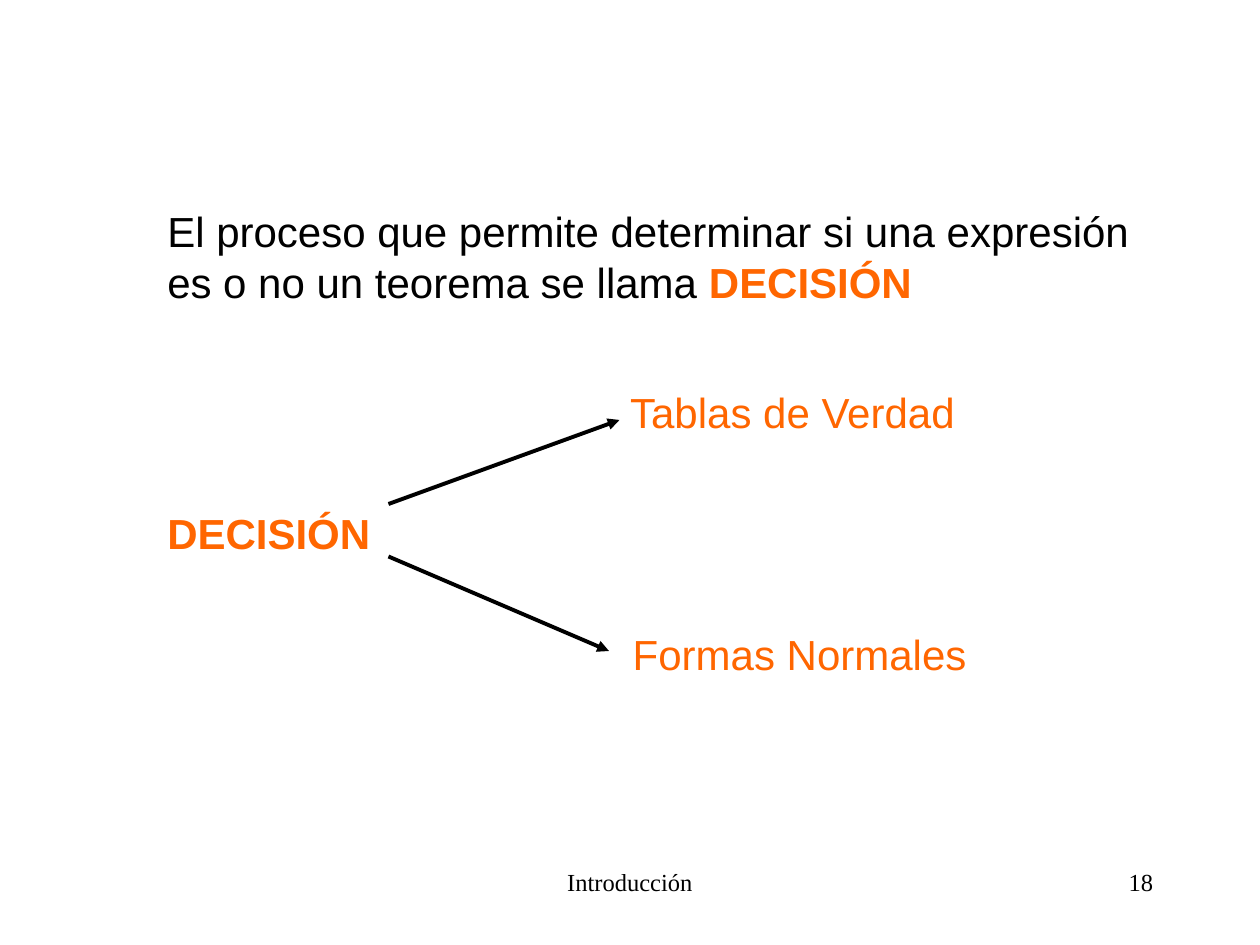
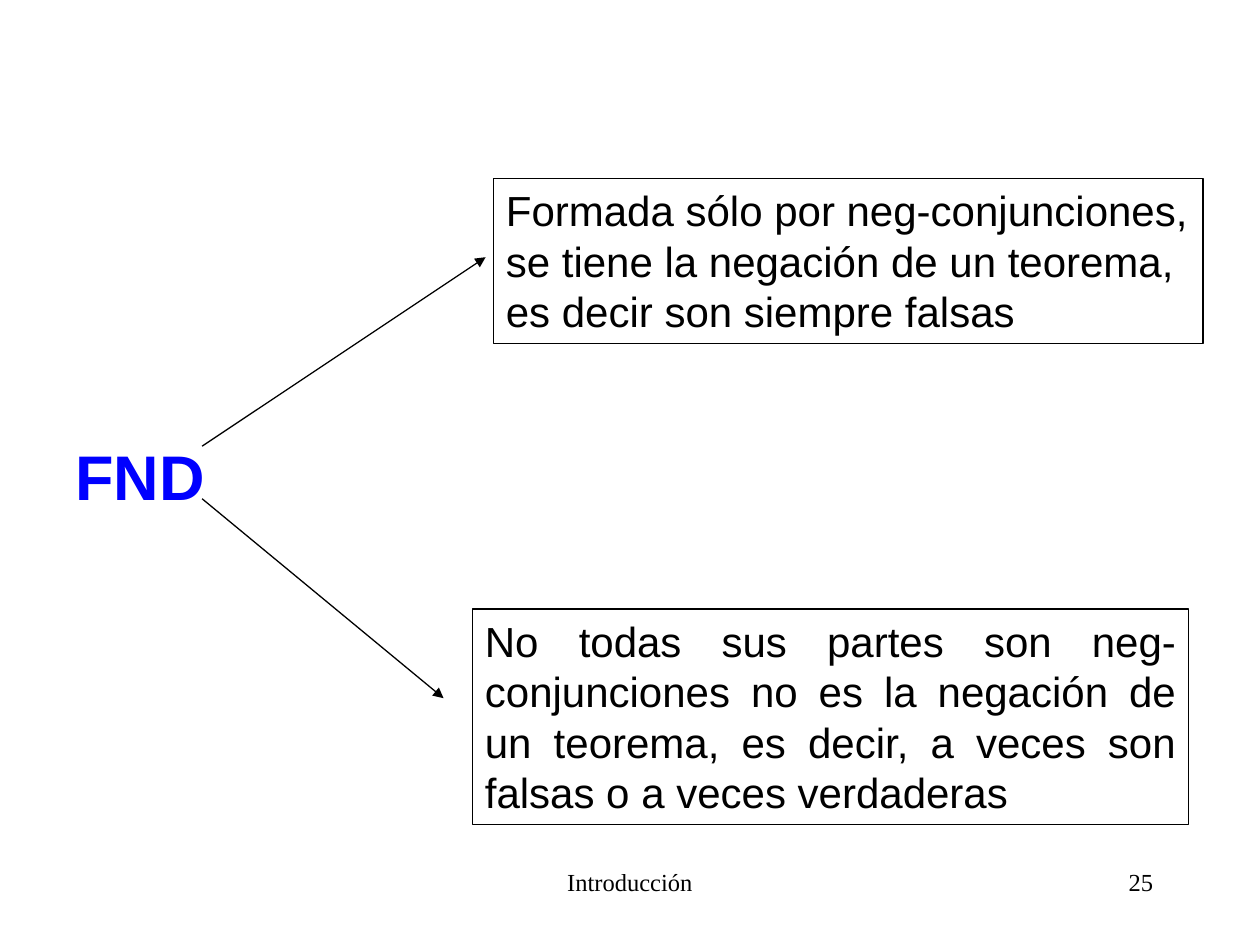
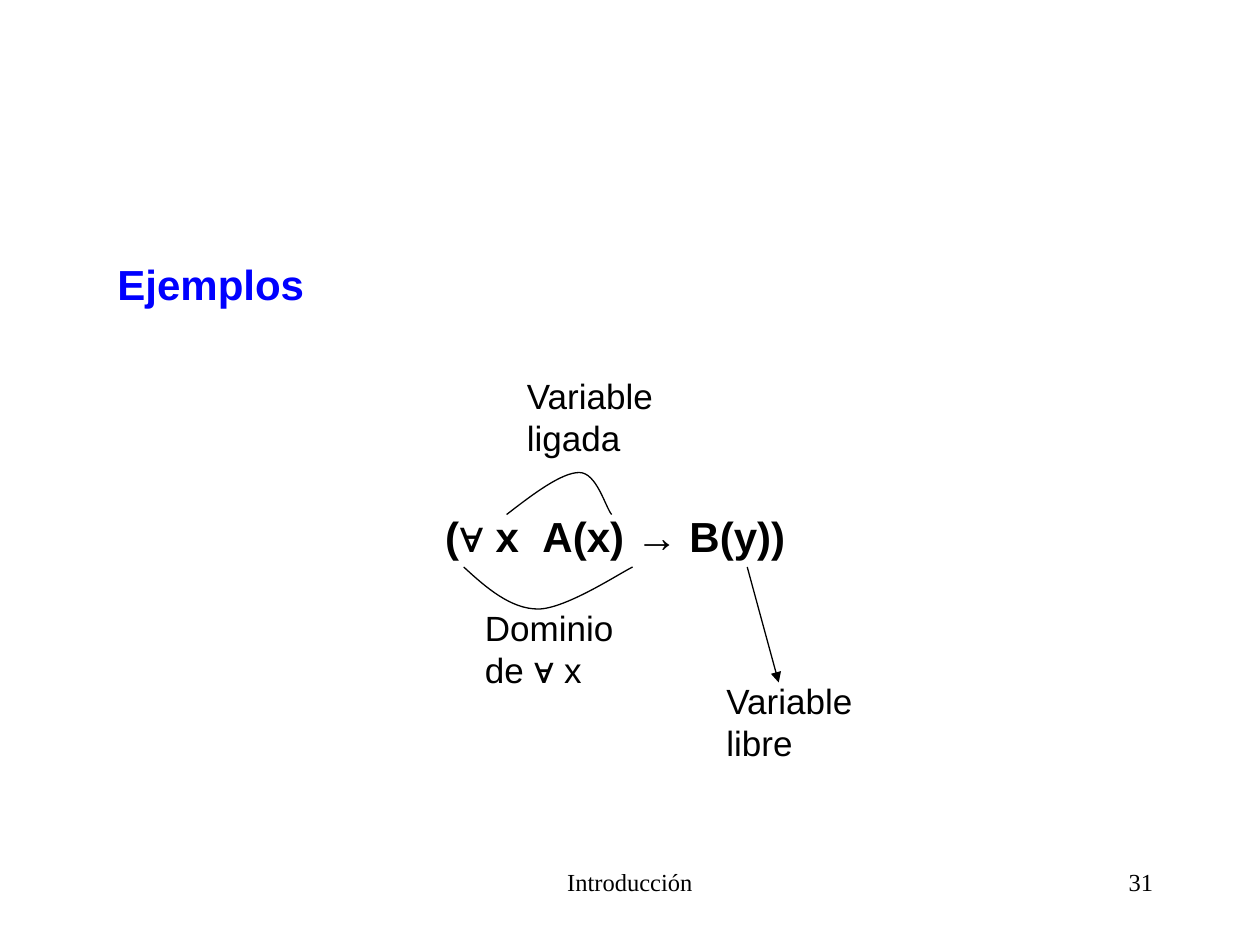
from pptx import Presentation, util as u
from pptx.dml.color import RGBColor
from pptx.enum import shapes as sh, text as tx
from pptx.oxml.ns import qn
from lxml import etree

BLACK, ORANGE, BLUE = "000000", "FF6600", "0000FF"
LEFT, MID, RIGHT, JUST = (tx.PP_ALIGN.LEFT, tx.PP_ALIGN.CENTER,
                          tx.PP_ALIGN.RIGHT, tx.PP_ALIGN.JUSTIFY)


def tint(code):
    return RGBColor.from_string(code)


def run(words, color=BLACK, bold=False, gap=0):
    """Describe a run; gap is extra letter spacing in points."""
    return words, color, bold, gap


class Deck:
    """Holds the shared style and the slide being drawn."""
    font, foot = "Arial", "Times New Roman"

    def __init__(self):
        self.prs = Presentation()
        self.prs.slide_width, self.prs.slide_height = u.Pt(720), u.Pt(540)

    def page(self, number):
        self.slide = self.prs.slides.add_slide(self.prs.slide_layouts[6])
        self.items = self.slide.shapes
        for area, words, align in (((246, 492, 228, 36), "Introducción", MID),
                                   ((516, 492, 150, 36), str(number), RIGHT)):
            self.text(area, [[run(words)]], 14, align, self.foot)

    def text(self, area, lines, size=24, align=LEFT, font=font):
        box = self.items.add_textbox(*map(u.Pt, area))
        self.fill(box.text_frame, lines, size, align, font)

    def frame(self, area, lines, align=LEFT):
        """Draw a thin outlined box with text."""
        box = self.items.add_shape(sh.MSO_SHAPE.RECTANGLE, *map(u.Pt, area))
        self.bare(box)
        self.fill(box.text_frame, lines, 24, align, self.font)

    def fill(self, body, lines, size, align, font):
        body.word_wrap = True
        body.vertical_anchor = tx.MSO_ANCHOR.TOP
        for i, line in enumerate(lines):
            para = body.add_paragraph() if i else body.paragraphs[0]
            para.alignment = align
            for words, color, bold, gap in line:
                part = para.add_run()
                part.text = words
                part.font.name, part.font.size = font, u.Pt(size)
                part.font.bold = bold
                part.font.color.rgb = tint(color)
                if gap:
                    part.font._element.set("spc", str(round(gap * 100)))

    def ink(self, line, width=0.75):
        line.color.rgb = tint(BLACK)
        line.width = u.Pt(width)

    def bare(self, shape):
        """Leave only a thin outline."""
        shape.shadow.inherit = False
        shape.fill.background()
        self.ink(shape.line)

    def arrow(self, start, end, width=0.75):
        link = self.items.add_connector(sh.MSO_CONNECTOR.STRAIGHT,
                                        *map(u.Pt, start + end))
        self.ink(link.line, width)
        props = link._element.spPr
        etree.SubElement(props.find(qn("a:ln")), qn("a:tailEnd"),
                         type="triangle")
        etree.SubElement(props, qn("a:effectLst"))

    def curve(self, first, *rest):
        """Draw cubic curves; every three points after the first make one."""
        pen = self.items.build_freeform(*map(u.Pt, first))
        pen.add_line_segments([tuple(map(u.Pt, p)) for p in rest], close=False)
        shape = pen.convert_to_shape()
        self.bare(shape)
        steps = list(shape._element.iter(qn("a:lnTo")))
        for i in range(0, len(steps), 3):
            steps[i].tag = qn("a:cubicBezTo")
            for step in steps[i + 1:i + 3]:
                steps[i].append(step[0])
                step.getparent().remove(step)


def proof(deck):
    deck.page(18)
    deck.text((88.5, 114, 589, 65), [[
        run("El proceso que permite determinar si una expresión "
            "es o no un teorema se llama "),
        run("DECISIÓN", ORANGE, True)]])
    deck.text((88.5, 286.5, 137, 36), [[run("DECISIÓN", ORANGE, True)]])
    deck.arrow((222, 288), (354, 240), 2.25)
    deck.arrow((222, 318), (348, 372), 2.25)
    deck.text((353, 217.5, 210, 36), [[run("Tablas de Verdad", ORANGE)]])
    deck.text((354.5, 355.5, 216, 36), [[run("Formas Normales", ORANGE)]])


def forms(deck):
    deck.page(25)
    deck.text((36, 246.5, 96, 50), [[run("FND", BLUE, True)]], 36)
    deck.arrow((115.5, 255), (277.5, 147))
    deck.arrow((115.5, 285), (253.5, 399))
    deck.frame((282, 102, 405.5, 94.5), [
        [run("Formada sólo por neg-conjunciones,")],
        [run("se tiene la negación de un teorema,")],
        [run("es decir son siempre falsas")]])
    deck.frame((270, 348, 409, 123), [[
        run("No todas sus partes son neg-conjunciones no es la negación de "
            "un teorema, es decir, a veces son falsas o a veces verdaderas")]],
        JUST)


def scope(deck):
    deck.page(31)
    deck.text((60, 144, 583, 36), [[run("Ejemplos", BLUE, True)]])
    deck.text((60, 288, 583, 36), [[
        run("(∀ x", bold=True), run(" ", bold=True, gap=6.67),
        run("A(x) → B(y))", bold=True)]], align=MID)
    deck.curve((289.5, 294), (305, 282), (321, 270), (331, 270),
               (341, 270), (346, 290), (349.5, 294))
    deck.curve((265, 324), (278, 336), (292, 348), (307.5, 348),
               (323, 348), (353.5, 328), (361.5, 324))
    deck.arrow((427, 324), (445, 390))
    for left, top, width, words in ((294, 210.5, 133, ("Variable", "ligada")),
                                    (270, 343, 93.5, ("Dominio", "de ∀ x")),
                                    (408, 385, 88, ("Variable", "libre"))):
        deck.text((left, top, width, 55.5), [[run(w)] for w in words], 20)


def main():
    deck = Deck()
    for draw in (proof, forms, scope):
        draw(deck)
    deck.prs.save("out.pptx")


if __name__ == "__main__":
    main()
